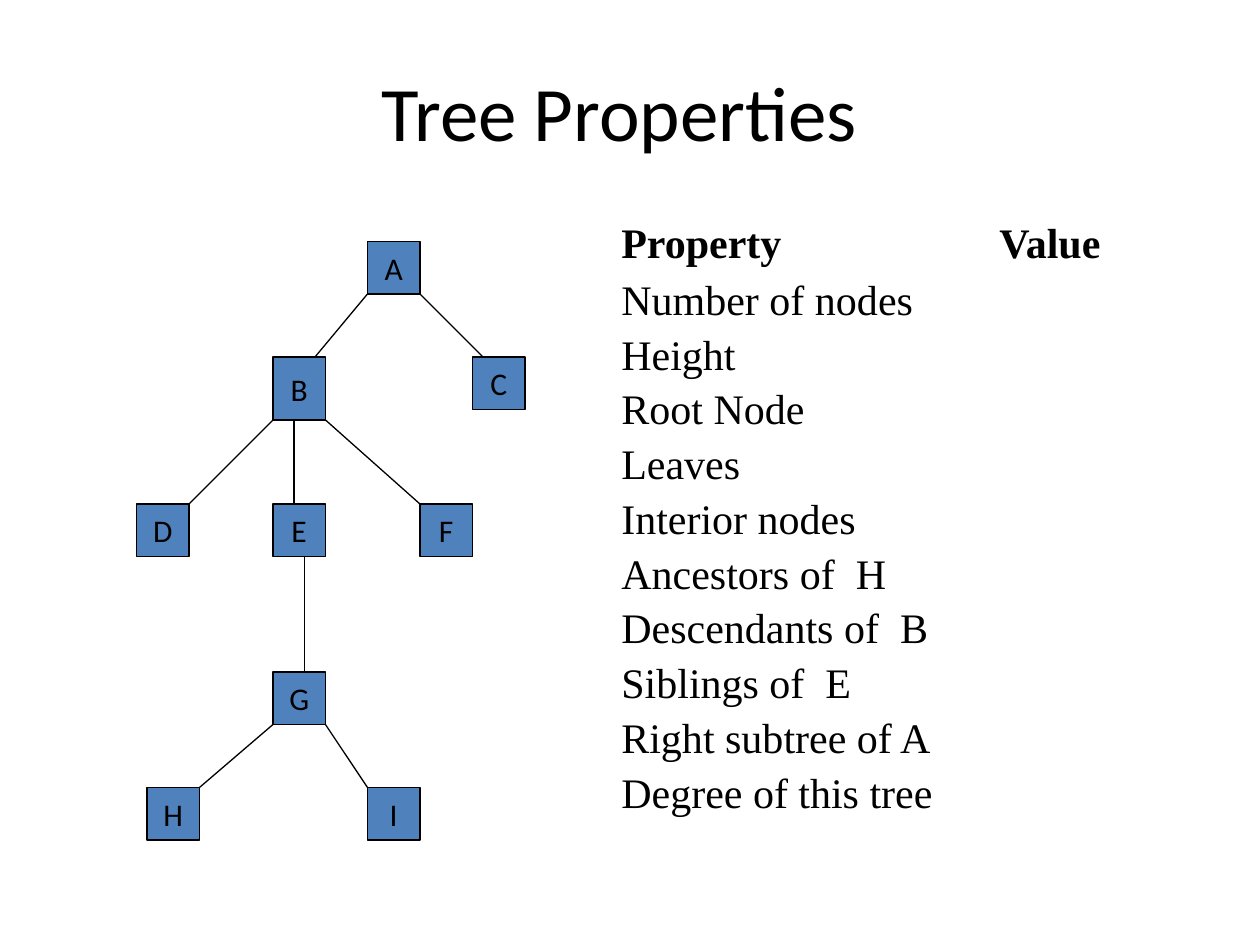
from lxml import etree
from pptx import Presentation
from pptx.dml.color import RGBColor
from pptx.enum.shapes import MSO_CONNECTOR, MSO_SHAPE
from pptx.enum.text import MSO_ANCHOR, PP_ALIGN
from pptx.oxml.ns import qn
from pptx.util import Pt

RECT = MSO_SHAPE.RECTANGLE
LINE = MSO_CONNECTOR.STRAIGHT
MIDDLE = MSO_ANCHOR.MIDDLE
CENTER = PP_ALIGN.CENTER
BLACK, BLUE = "000000", "4F81BD"
SIDE = 30

NODES = [
    ("A", 132, 0, SIDE), ("B", 78, 66, 36), ("C", 192, 66, SIDE),
    ("D", 0, 150, SIDE), ("E", 78, 150, SIDE), ("F", 162, 150, SIDE),
    ("G", 78, 246, SIDE), ("H", 6, 312, SIDE), ("I", 132, 312, SIDE),
]
EDGES = [
    (132, 30, 102, 66), (162, 30, 198, 66),
    (78, 102, 30, 150), (90, 102, 90, 150), (108, 102, 162, 150),
    (96, 180, 96, 246),
    (78, 276, 36, 312), (108, 276, 132, 312),
]
ITEMS = [
    "Number of nodes", "Height", "Root Node", "Leaves", "Interior nodes",
    "Ancestors of  H", "Descendants of  B", "Siblings of  E",
    "Right subtree of A", "Degree of this tree",
]


def paint(color, code):
    """Set a colour format from a hex string."""
    color.rgb = RGBColor.from_string(code)


def style(para, size, face, bold=False):
    """Set the font of a whole paragraph."""
    font = para.font
    font.size, font.name, font.bold = Pt(size), face, bold
    paint(font.color, BLACK)


def border(line):
    """Give a line the thin black stroke of the tree."""
    line.width = Pt(0.75)
    paint(line.color, BLACK)


def add_title(slide, left, top, width, height):
    """Place the slide title in the given box."""
    title = slide.shapes.title
    title.left, title.top = Pt(left), Pt(top)
    title.width, title.height = Pt(width), Pt(height)
    frame = title.text_frame
    frame.text = "Tree Properties"
    frame.vertical_anchor = MIDDLE
    para = frame.paragraphs[0]
    para.alignment = CENTER
    style(para, 44, "Calibri")


def add_node(group, name, left, top, height):
    """Add one labelled tree node."""
    node = group.shapes.add_shape(RECT, Pt(left), Pt(top), Pt(SIDE), Pt(height))
    node.shadow.inherit = False
    node.fill.solid()
    paint(node.fill.fore_color, BLUE)
    border(node.line)
    frame = node.text_frame
    frame.word_wrap = False
    frame.vertical_anchor = MIDDLE
    frame.text = name
    para = frame.paragraphs[0]
    para.alignment = CENTER
    style(para, 18, "Calibri")


def add_edge(group, *ends):
    """Add one line between two tree nodes."""
    edge = group.shapes.add_connector(LINE, *map(Pt, ends))
    border(edge.line)
    etree.SubElement(edge._element.spPr, qn("a:effectLst"))


def add_tree(slide, left, top):
    """Draw the grouped tree from the given corner."""
    group = slide.shapes.add_group_shape()
    for name, x, y, height in NODES:
        add_node(group, name, left + x, top + y, height)
    for x1, y1, x2, y2 in EDGES:
        add_edge(group, left + x1, top + y1, left + x2, top + y2)


def add_list(slide, left, top, width, height):
    """Place the property list with its tabbed heading."""
    box = slide.shapes.add_textbox(Pt(left), Pt(top), Pt(width), Pt(height))
    frame = box.text_frame
    frame.word_wrap = True
    head = frame.paragraphs[0]
    head.text = "Property\tValue"
    tabs = etree.SubElement(head._p.get_or_add_pPr(), qn("a:tabLst"))
    etree.SubElement(tabs, qn("a:tab"), pos=str(Pt(216)), algn="l")
    style(head, 24, "Times New Roman", True)
    for item in ITEMS:
        para = frame.add_paragraph()
        para.text = item
        para.line_spacing = 0.6
        para.space_before = Pt(14)
        style(para, 24, "Times New Roman")


def main():
    """Build and save the slide."""
    deck = Presentation()
    deck.slide_width, deck.slide_height = Pt(720), Pt(540)
    slide = deck.slides.add_slide(deck.slide_layouts[5])
    add_title(slide, 48, 30, 612, 66)
    add_tree(slide, 78, 138)
    add_list(slide, 348, 120, 324, 367)
    deck.save("out.pptx")


if __name__ == "__main__":
    main()
